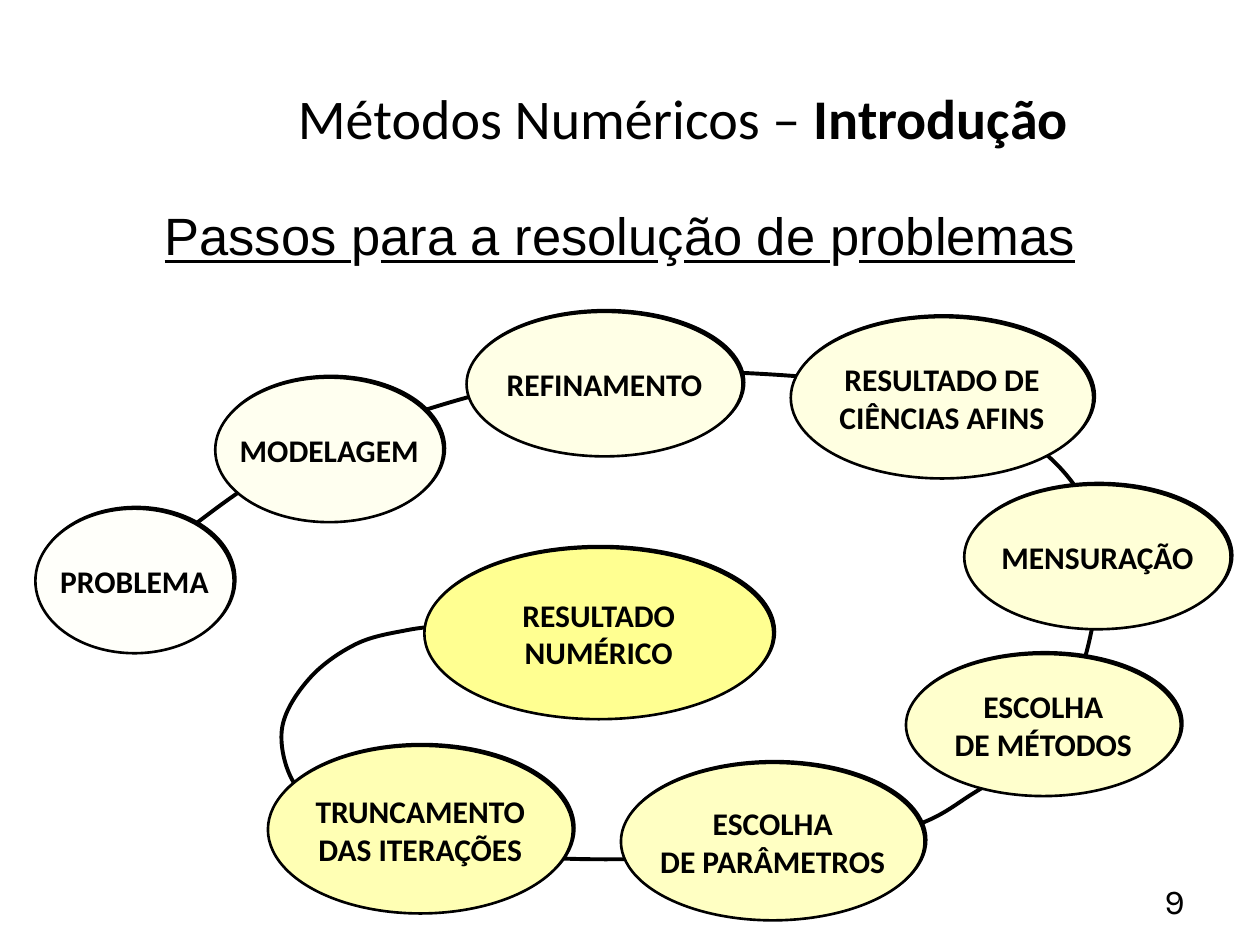
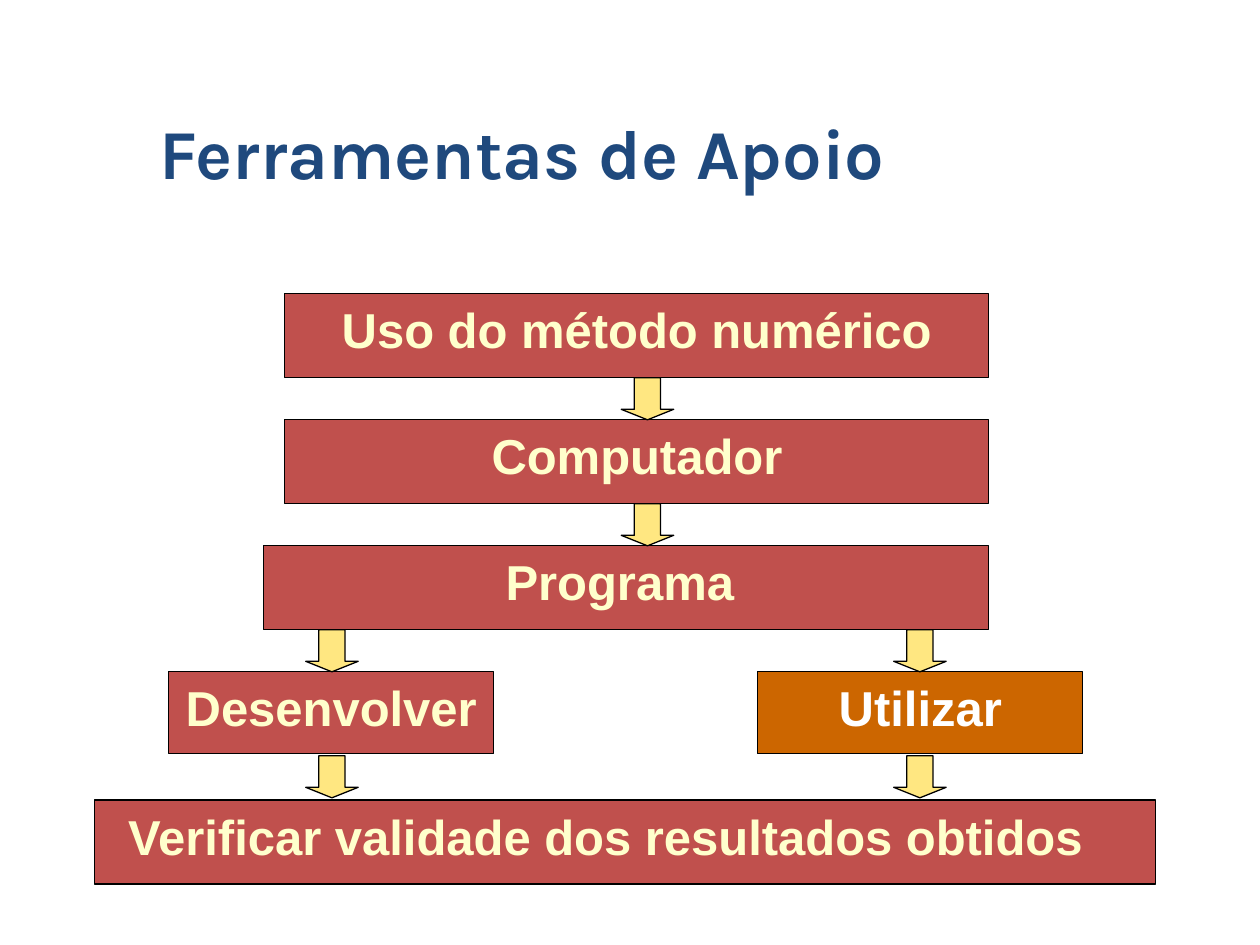
"""Build two slides: the steps of problem solving and the supporting tools."""
from lxml import etree
from pptx import Presentation
from pptx import util as u
from pptx.dml.color import RGBColor
from pptx.enum import shapes, text
from pptx.oxml import ns

COLORS = {
    "black": "000000", "white": "FFFFFF", "title": "1F497D", "cream": "FFFFCC",
    "brick": "C0504D", "orange": "CC6600", "arrow": "FFE781",
}
ALIGN = text.PP_ALIGN
ANCHOR = text.MSO_ANCHOR

STAGES = [
    ("PROBLEMA", "FFFFFA", 20.2, 290.7, 113.3, 82.6),
    ("MODELAGEM", "FFFFF0", 123, 215.8, 130.3, 82.6),
    ("REFINAMENTO", "FFFFE6", 266.6, 178.2, 157.7, 82.6),
    ("RESULTADO DE\nCIÊNCIAS AFINS", "FFFFE1", 451.9, 181.2, 172.8, 92.2),
    ("MENSURAÇÃO", "FFFFD7", 551, 277, 152.2, 82.6),
    ("ESCOLHA\nDE MÉTODOS", "FFFFCD", 517.7, 373.7, 157, 81.2),
    ("ESCOLHA\nDE PARÂMETROS", "FFFFC3", 354.8, 435.9, 173.5, 90),
    ("TRUNCAMENTO\nDAS ITERAÇÕES", "FFFFB4", 153.1, 426.2, 174.2, 95.8),
    ("RESULTADO\nNUMÉRICO", "FFFF91", 242.5, 313, 199.4, 98),
]
ROUTE = [
    (72.7, 334.1), (105.8, 303.8), (174.2, 259.9), (288, 221.8), (382.3, 212.4),
    (488.2, 218.2), (556.6, 233.3), (600.5, 262.1), (624.2, 295.9), (627.8, 330.5),
    (620.6, 373.7), (608.4, 401.8), (581, 434.9), (555.8, 453.6), (519.1, 473),
    (445, 487.4), (358.6, 491), (296.6, 488.9), (234, 478.8), (187.9, 463.7),
    (167, 445.7), (161.3, 415.4), (177.1, 387.4), (203.8, 367.9), (233.3, 360),
    (258.5, 357.1),
]


def color(name):
    """Return the colour for a key of COLORS or for a hex string."""
    return RGBColor.from_string(COLORS.get(name, name))


def place(left, top, width, height):
    """Convert a frame in points to lengths."""
    return [u.Pt(value) for value in (left, top, width, height)]


def style(para, font, size, ink, align, bold=None):
    """Set the font and alignment of a paragraph."""
    para.alignment = align
    para.font.name = font
    para.font.size = u.Pt(size)
    para.font.bold = bold
    para.font.color.rgb = color(ink)


def add_text(page, frame, spans, font, size, ink="black", align=ALIGN.CENTER,
             anchor=ANCHOR.MIDDLE, bold=None, wrap=True):
    """Add a one-paragraph text box and return it."""
    box = page.shapes.add_textbox(*place(*frame)).text_frame
    box.word_wrap = wrap
    box.vertical_anchor = anchor
    para = box.paragraphs[0]
    style(para, font, size, ink, align, bold)
    for words in spans:
        para.add_run().text = words
    return box


def add_shape(page, kind, frame, fill, line_width=0.75):
    """Add a filled, black-outlined shape without a shadow."""
    shape = page.shapes.add_shape(kind, *place(*frame))
    shape.shadow.inherit = False
    shape.fill.solid()
    shape.fill.fore_color.rgb = color(fill)
    shape.line.color.rgb = color("black")
    shape.line.width = u.Pt(line_width)
    return shape


def cast_shadow(shape):
    """Give a shape a hard black shadow up and to the right."""
    effects = shape._element.spPr.find(ns.qn("a:effectLst"))
    shadow = etree.SubElement(effects, ns.qn("a:outerShdw"), dist=str(u.Pt(1.4)),
                              dir=str(315 * 60000), algn="ctr", rotWithShape="0")
    etree.SubElement(shadow, ns.qn("a:srgbClr"), val=COLORS["black"])


def add_stage(page, label, fill, *frame):
    """Add one ellipse of the route."""
    stage = add_shape(page, shapes.MSO_SHAPE.OVAL, frame, fill, 1.5)
    cast_shadow(stage)
    box = stage.text_frame
    box.word_wrap = False
    box.vertical_anchor = ANCHOR.MIDDLE
    box.text = label
    for para in box.paragraphs:
        style(para, "Calibri", 18, "black", ALIGN.CENTER, True)


def curve_segments(shape):
    """Turn the straight segments of a freeform into Catmull-Rom curves."""
    knots = [(int(point.get("x")), int(point.get("y")))
             for point in shape._element.iter(ns.qn("a:pt"))]
    padded = [knots[0], *knots, knots[-1]]
    segments = list(shape._element.iter(ns.qn("a:lnTo")))
    for segment, a, b, c, d in zip(segments, padded, padded[1:], padded[2:], padded[3:]):
        segment.tag = ns.qn("a:cubicBezTo")
        controls = [[q + (r - p) / 6 for p, q, r in zip(a, b, c)],
                    [r - (s - q) / 6 for q, r, s in zip(b, c, d)]]
        for index, (x, y) in enumerate(controls):
            point = etree.Element(ns.qn("a:pt"), x=str(round(x)), y=str(round(y)))
            segment.insert(index, point)


def add_route(page):
    """Draw the curve that links the stages."""
    start, *rest = [(u.Pt(x), u.Pt(y)) for x, y in ROUTE]
    builder = page.shapes.build_freeform(*start)
    builder.add_line_segments(rest, close=False)
    route = builder.convert_to_shape()
    curve_segments(route)
    route.shadow.inherit = False
    route.fill.background()
    route.line.color.rgb = color("black")
    route.line.width = u.Pt(2.25)


def add_step(page, label, frame, label_left, label_width, fill="brick", ink="cream",
             align=ALIGN.LEFT, wrap=False):
    """Add a rectangle of the flow and the label on it."""
    add_shape(page, shapes.MSO_SHAPE.RECTANGLE, frame, fill)
    add_text(page, (label_left, frame[1], label_width, 41), [label], "Arial", 28,
             ink, align, ANCHOR.TOP, True, wrap)


def add_arrow(page, left, top):
    """Add a block arrow between two rows of the flow."""
    arrow = add_shape(page, shapes.MSO_SHAPE.DOWN_ARROW, (left, top, 30, 24), "arrow")
    arrow.adjustments[0] = 0.5
    arrow.adjustments[1] = 0.25


def build_stages(page):
    """Fill the slide with the steps of problem solving."""
    add_text(page, (516, 500.4, 168, 28.8), ["9"], "Karla", 20, align=ALIGN.RIGHT)
    heading = add_text(page, (33, 120.2, 642.5, 41),
                       ["Passos ", "p", "ara a resolu", "ç", "ão de ", "p", "roblemas"],
                       "Arial", 30, anchor=ANCHOR.TOP)
    heading.margin_top = heading.margin_bottom = 0
    heading.paragraphs[0].line_spacing = 0.9
    heading.paragraphs[0].space_before = u.Pt(7.5)
    for span in heading.paragraphs[0].runs[::2]:
        span.font.underline = True
    title = add_text(page, (83.5, 41.8, 613.5, 50.4),
                     ["Métodos Numéricos – ", "Introdução"], "Calibri", 32)
    title.paragraphs[0].runs[1].font.bold = True
    add_route(page)
    for stage in STAGES:
        add_stage(page, *stage)


def build_tools(page):
    """Fill the slide with the flow of supporting tools."""
    add_text(page, (84.2, 24, 613.5, 90), ["Ferramentas de Apoio"], "Karla", 40,
             "title", ALIGN.LEFT, ANCHOR.BOTTOM, True)
    first, pitch, height = 167.9, 72, 48
    rows = [first + pitch * index for index in range(4)]
    add_step(page, "Uso do método numérico", (162.7, rows[0], 402, height), 188.2, 351.4)
    add_step(page, "Computador", (162.7, rows[1], 402, height), 273.8, 180.7)
    add_step(page, "Programa", (150.5, rows[2], 414.3, height), 281.8, 152.6)
    add_step(page, "Desenvolver", (96.3, rows[3], 185.8, 46.8), 95.3, 187.9,
             align=ALIGN.CENTER, wrap=True)
    add_step(page, "Utilizar", (432.7, rows[3], 185.8, 46.8), 433, 185.8,
             "orange", "white", ALIGN.CENTER, True)
    add_step(page, "Verificar validade dos resultados obtidos",
             (54, 457.2, 606.2, height), 66.2, 581.8, wrap=True)
    for index, columns in enumerate([(355,), (355,), (174.7, 510.7), (174.7, 510.7)]):
        for left in columns:
            add_arrow(page, left, rows[index] + height)


def main():
    """Build and save the deck."""
    deck = Presentation()
    deck.slide_width, deck.slide_height = u.Pt(720), u.Pt(540)
    for build in (build_stages, build_tools):
        build(deck.slides.add_slide(deck.slide_layouts[6]))
    deck.save("out.pptx")


if __name__ == "__main__":
    main()
